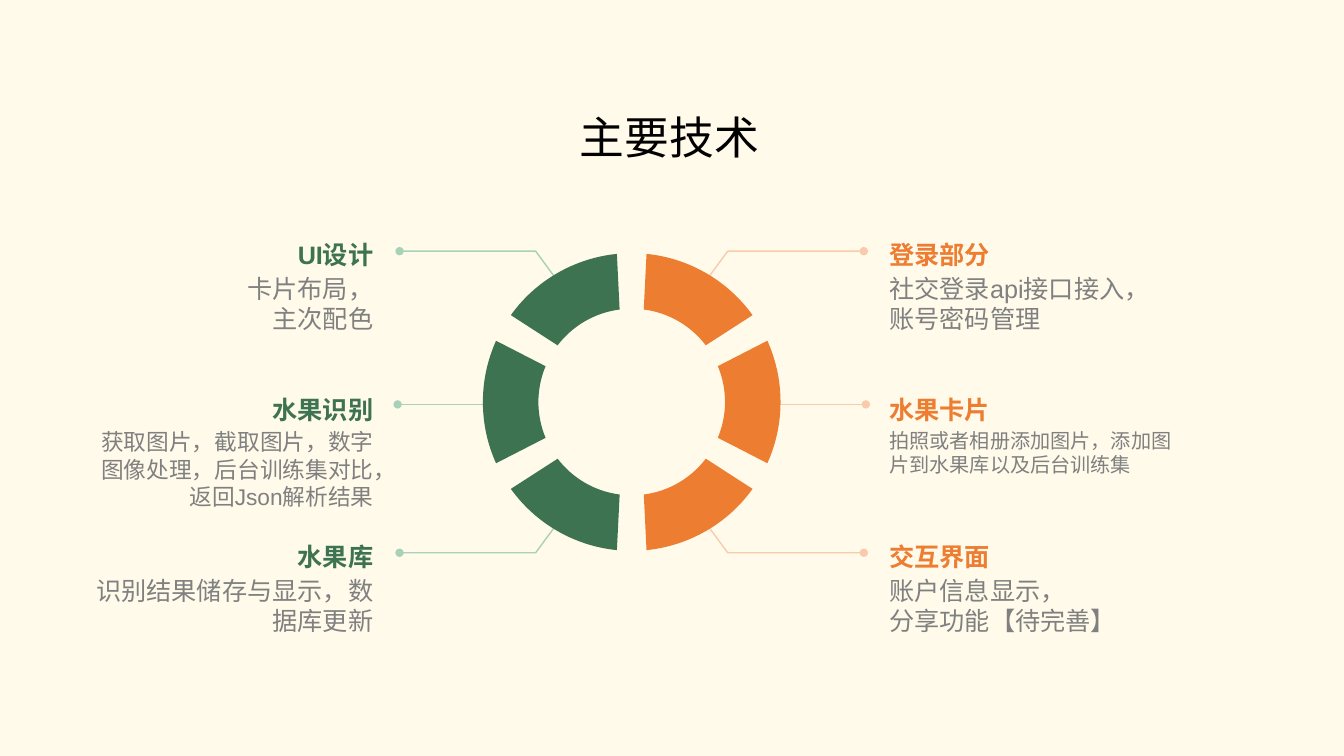
import math
import pptx
import pptx.util
import pptx.dml.color
import pptx.enum.shapes
import pptx.enum.text
import pptx.oxml
import pptx.oxml.ns

Cm = pptx.util.Cm
Pt = pptx.util.Pt
ALIGN = pptx.enum.text.PP_ALIGN
ANCHOR = pptx.enum.text.MSO_ANCHOR
SPACE = pptx.oxml.ns.nsdecls("a")

TITLE = "主要技术"
GREEN, ORANGE = "3D7351", "ED7D31"
MINT, PEACH = "A8D1B7", "F8CBAD"
GREY = "808080"
TOPS = [5.69, 9.6, 13.3]
SIDES = [
    (-1, MINT, GREEN, ALIGN.RIGHT, 9.41, [
        ("UI设计", ["卡片布局，", "主次配色"], 18, 7.29, 1.8),
        ("水果识别", ["获取图片，截取图片，数字图像处理，后台训练集对比，返回Json解析结果"],
         16.2, 6.98, 2.51),
        ("水果库", ["识别结果储存与显示，数据库更新"], 18, 7.29, 1.8),
    ]),
    (1, PEACH, ORANGE, ALIGN.LEFT, 22.41, [
        ("登录部分", ["社交登录api接口接入，", "账号密码管理"], 18, 7.49, 1.8),
        ("水果卡片", ["拍照或者相册添加图片，添加图片到水果库以及后台训练集"],
         14.4, 7.29, 1.8),
        ("交互界面", ["账户信息显示，", "分享功能【待完善】"], 18, 7.29, 1.8),
    ]),
]
MID_X, MID_Y = 15.92, 10.13
OUTER, INNER = 3.75, 2.35
OUT_HALF, IN_HALF = 24.3, 22.6


def color(code):
    return pptx.dml.color.RGBColor.from_string(code)


def write(frame, lines, size, tint, align, anchor, bold=False, space=None):
    frame.word_wrap = True
    frame.auto_size = pptx.enum.text.MSO_AUTO_SIZE.NONE
    frame.vertical_anchor = anchor
    frame.margin_left = frame.margin_right = 0
    frame.margin_top = frame.margin_bottom = 0
    for i, line in enumerate(lines):
        para = frame.add_paragraph() if i else frame.paragraphs[0]
        para.alignment = align
        if space:
            para.line_spacing = space
        run = para.add_run()
        run.text = line
        run.font.name = "Arial"
        run.font.size = Pt(size)
        run.font.bold = bold
        run.font.color.rgb = color(tint)


def label(slide, edge, side, top, wide, high, *style, **more):
    left = edge if side > 0 else edge - wide
    box = slide.shapes.add_textbox(Cm(left), Cm(top), Cm(wide), Cm(high))
    write(box.text_frame, *style, **more)


def outline(slide, points, close):
    spots = [(Cm(x), Cm(y)) for x, y in points]
    maker = slide.shapes.build_freeform(*spots[0], scale=1.0)
    maker.add_line_segments(spots[1:], close=close)
    shape = maker.convert_to_shape()
    shape.shadow.inherit = False
    return shape


def dot_end(line, tint, width):
    line.color.rgb = color(tint)
    line.width = Pt(width)
    mark = pptx.oxml.parse_xml(f'<a:tailEnd {SPACE} type="oval"/>')
    line._get_or_add_ln().append(mark)


def leader(slide, side, tint):
    for way in (-1, 1):
        bend = [(1.89, 3.08), (2.42, 3.8), (5.85, 3.8)]
        points = [(MID_X + side * x, MID_Y + way * y) for x, y in bend]
        shape = outline(slide, points, False)
        shape.fill.background()
        dot_end(shape.line, tint, 1)
    level = Cm(MID_Y + 0.06)
    wire = slide.shapes.add_connector(
        pptx.enum.shapes.MSO_CONNECTOR.STRAIGHT,
        Cm(MID_X + side * 3.25), level, Cm(MID_X + side * 5.9), level)
    dot_end(wire.line, tint, 0.5)
    wire._element.spPr.append(pptx.oxml.parse_xml(f'<a:effectLst {SPACE}/>'))


def arc(radius, half):
    half = math.radians(half)
    pull = 4 / 3 * math.tan(half / 4) * radius
    x, y = radius * math.sin(half), -radius * math.cos(half)
    near_x, near_y = x - pull * math.cos(half), y - pull * math.sin(half)
    right = [(pull, -radius), (near_x, near_y), (x, y)]
    left = [(-a, b) for a, b in right[::-1]]
    return left + [(0, -radius)] + right


def curve(shape):
    track = shape._element.find(".//" + pptx.oxml.ns.qn("a:path"))
    steps = track.findall(pptx.oxml.ns.qn("a:lnTo"))
    for first in (0, 3, 7, 10):
        bend = pptx.oxml.parse_xml(f'<a:cubicBezTo {SPACE}/>')
        steps[first].addprevious(bend)
        for step in steps[first:first + 3]:
            bend.append(step[0])
            track.remove(step)


def wedge(slide, turn, tint):
    shape = outline(slide, arc(OUTER, OUT_HALF) + arc(INNER, IN_HALF)[::-1], True)
    curve(shape)
    reach = (OUTER + INNER * math.cos(math.radians(IN_HALF))) / 2
    angle = math.radians(turn)
    shape.left = Cm(MID_X + reach * math.sin(angle)) - shape.width // 2
    shape.top = Cm(MID_Y - reach * math.cos(angle)) - shape.height // 2
    shape.rotation = turn
    shape.fill.solid()
    shape.fill.fore_color.rgb = color(tint)
    shape.line.fill.background()


def main():
    deck = pptx.Presentation()
    deck.slide_width, deck.slide_height = Cm(33.87), Cm(19.05)
    slide = deck.slides.add_slide(deck.slide_layouts[5])
    slide.background.fill.solid()
    slide.background.fill.fore_color.rgb = color("FFFAEA")

    title = slide.shapes.title
    title.left, title.top = Cm(8.52), Cm(1.95)
    title.width, title.height = Cm(16.71), Cm(3)
    write(title.text_frame, [TITLE], 32, "000000", ALIGN.CENTER, ANCHOR.MIDDLE)

    for side, pale, tint, align, edge, items in SIDES:
        leader(slide, side, pale)
        for turn in (30, 90, 150):
            wedge(slide, turn if side > 0 else 360 - turn, tint)
        for top, (head, lines, size, wide, high) in zip(TOPS, items):
            label(slide, edge, side, top, 6.65, 1.3, [head], 18, tint, align,
                  ANCHOR.MIDDLE, bold=True, space=1.2)
            label(slide, edge, side, top + 1.19, wide, high, lines, size, GREY,
                  align, ANCHOR.TOP)

    deck.save("out.pptx")


if __name__ == "__main__":
    main()
